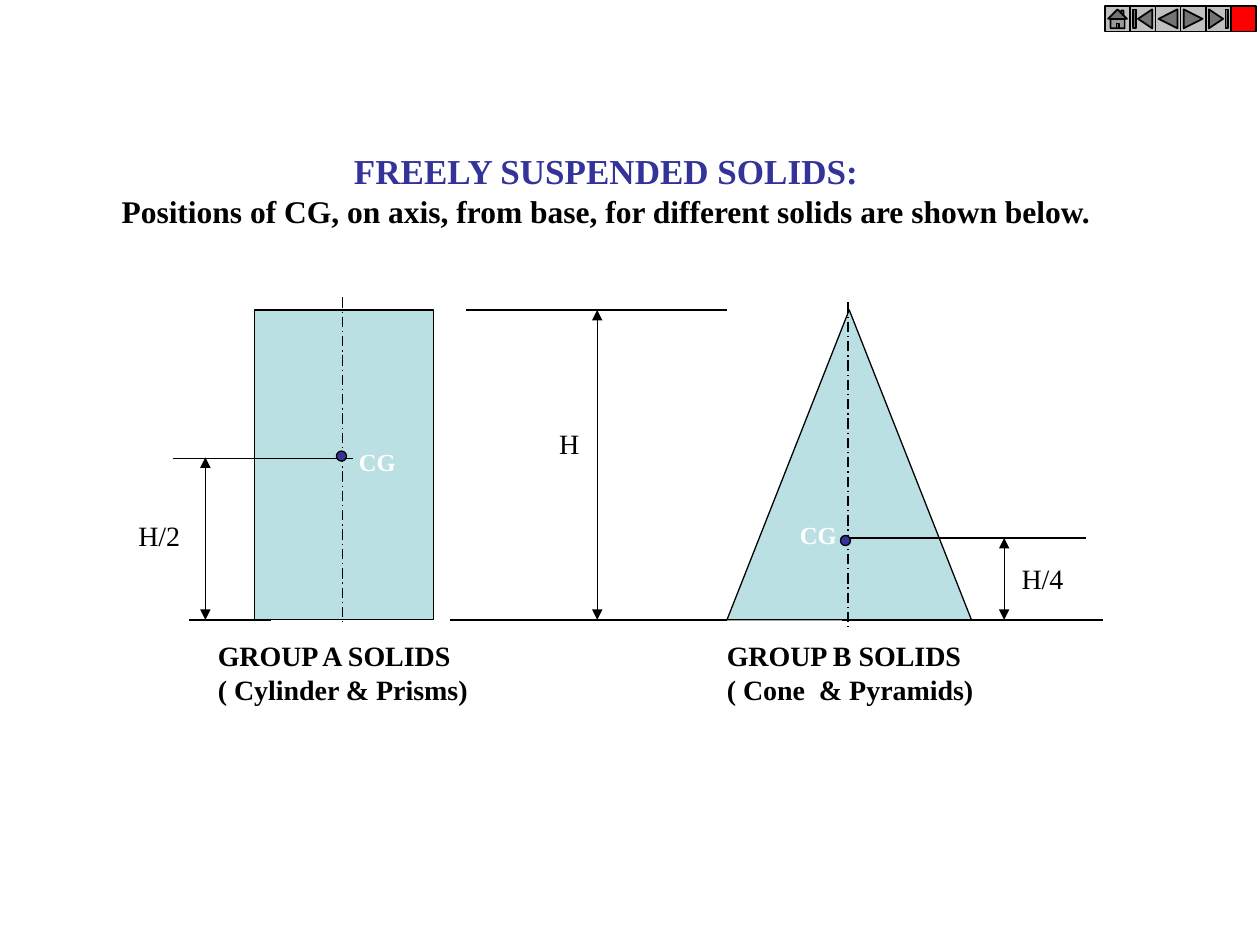
from dataclasses import dataclass

import pptx
import pptx.dml.color
import pptx.enum.dml
import pptx.enum.shapes
import pptx.enum.text
import pptx.oxml
import pptx.oxml.ns
import pptx.util

Inches = pptx.util.Inches
RGB = pptx.dml.color.RGBColor
Kind = pptx.enum.shapes.MSO_SHAPE
Align = pptx.enum.text.PP_ALIGN

BLACK = RGB(0x00, 0x00, 0x00)
WHITE = RGB(0xFF, 0xFF, 0xFF)
NAVY = RGB(0x33, 0x33, 0x99)
AQUA = RGB(0xBB, 0xE0, 0xE3)
GREY = RGB(0xC0, 0xC0, 0xC0)
RED = RGB(0xFF, 0x00, 0x00)
FONT = "Times New Roman"
TOP, BASE = 2.46, 4.92
BUTTON = 0.2


@dataclass
class Solid:
    kind: Kind
    left: float
    top: float
    width: float
    height: float
    fill: RGB
    weight: float = 0.75


@dataclass
class Line:
    x1: float
    y1: float
    x2: float
    y2: float
    dashed: bool = False
    arrows: bool = False


@dataclass
class Row:
    text: str
    size: int = 16
    bold: bool = False
    color: RGB = BLACK


@dataclass
class Label:
    left: float
    top: float
    width: float
    height: float
    rows: list[Row]


SOLIDS = [
    Solid(Kind.RECTANGLE, 2.02, TOP, 1.42, BASE - TOP, AQUA),
    Solid(Kind.ISOSCELES_TRIANGLE, 5.77, TOP, 1.94, BASE - TOP, AQUA),
]
DOTS = [Solid(Kind.OVAL, x, y, 0.08, 0.08, NAVY) for x, y in [(2.67, 3.58), (6.67, 4.25)]]
ICONS = [
    Kind.ACTION_BUTTON_HOME,
    Kind.ACTION_BUTTON_BEGINNING,
    Kind.ACTION_BUTTON_BACK_OR_PREVIOUS,
    Kind.ACTION_BUTTON_FORWARD_OR_NEXT,
    Kind.ACTION_BUTTON_END,
    Kind.ACTION_BUTTON_CUSTOM,
]
LINES = [
    Line(3.7, TOP, 5.77, TOP),
    Line(3.57, BASE, 5.77, BASE),
    Line(4.74, TOP, 4.74, BASE, arrows=True),
    Line(2.72, 2.36, 2.72, 4.95, dashed=True),
    Line(6.73, 2.4, 6.73, 4.99, dashed=True),
    Line(1.5, BASE, 2.15, BASE),
    Line(1.37, 3.64, 2.8, 3.64),
    Line(6.68, 4.27, 8.62, 4.27),
    Line(6.68, BASE, 8.75, BASE),
    Line(7.97, 4.27, 7.97, BASE, arrows=True),
    Line(1.63, 3.63, 1.63, BASE, arrows=True),
]
HEAD = [
    Row("FREELY SUSPENDED SOLIDS:", 20, True, NAVY),
    Row("Positions of CG, on axis, from base, for different solids are shown below.", 18, True),
]
LABELS = [
    Label(4.34, 3.34, 0.36, 0.37, [Row("H")]),
    Label(1, 4.07, 0.53, 0.37, [Row("H/2")]),
    Label(8.01, 4.41, 0.53, 0.37, [Row("H/4")]),
    Label(1.63, 5.02, 2.19, 0.64,
          [Row("GROUP A SOLIDS", bold=True), Row("( Cylinder & Prisms)", bold=True)]),
    Label(5.67, 5.02, 2.16, 0.64,
          [Row("GROUP B SOLIDS", bold=True), Row("( Cone  & Pyramids)", bold=True)]),
    Label(2.75, 3.5, 0.49, 0.34, [Row("CG", 14, True, WHITE)]),
    Label(6.25, 4.08, 0.49, 0.34, [Row("CG", 14, True, WHITE)]),
]


def write(frame, rows: list[Row], align: Align) -> None:
    frame.word_wrap = False
    frame.auto_size = pptx.enum.text.MSO_AUTO_SIZE.NONE
    frame.vertical_anchor = pptx.enum.text.MSO_ANCHOR.TOP
    for i, row in enumerate(rows):
        para = frame.add_paragraph() if i else frame.paragraphs[0]
        para.alignment = align
        run = para.add_run()
        run.text = row.text
        run.font.name = FONT
        run.font.size = pptx.util.Pt(row.size)
        run.font.bold = row.bold
        run.font.color.rgb = row.color


def add_title(slide) -> None:
    title = slide.shapes.title
    title.left, title.top = Inches(0.85), Inches(1.14)
    title.width, title.height = Inches(7.92), Inches(0.74)
    write(title.text_frame, HEAD, Align.CENTER)


def add_label(slide, label: Label) -> None:
    box = slide.shapes.add_textbox(Inches(label.left), Inches(label.top),
                                   Inches(label.width), Inches(label.height))
    write(box.text_frame, label.rows, Align.LEFT)


def add_solid(slide, solid: Solid) -> None:
    shape = slide.shapes.add_shape(solid.kind, Inches(solid.left), Inches(solid.top),
                                   Inches(solid.width), Inches(solid.height))
    shape.shadow.inherit = False
    shape.fill.solid()
    shape.fill.fore_color.rgb = solid.fill
    shape.line.color.rgb = BLACK
    shape.line.width = pptx.util.Pt(solid.weight)


def add_line(slide, line: Line) -> None:
    wire = slide.shapes.add_connector(
        pptx.enum.shapes.MSO_CONNECTOR.STRAIGHT,
        Inches(line.x1), Inches(line.y1), Inches(line.x2), Inches(line.y2))
    wire.line.color.rgb = BLACK
    wire.line.width = pptx.util.Pt(0.75)
    if line.dashed:
        wire.line.dash_style = pptx.enum.dml.MSO_LINE.LONG_DASH_DOT
    props = wire.element.spPr
    if line.arrows:
        stroke = props.find(pptx.oxml.ns.qn("a:ln"))
        for tag in ("headEnd", "tailEnd"):
            stroke.append(make(tag, 'type="triangle"'))
    props.append(make("effectLst"))


def make(tag: str, attrs: str = ""):
    """Return an empty element of the drawing namespace."""
    return pptx.oxml.parse_xml(f"<a:{tag} {pptx.oxml.ns.nsdecls('a')} {attrs}/>")


def main() -> None:
    deck = pptx.Presentation()
    deck.slide_width, deck.slide_height = Inches(10), Inches(7.5)
    slide = deck.slides.add_slide(deck.slide_layouts[5])
    add_title(slide)
    for solid in SOLIDS:
        add_solid(slide, solid)
    for line in LINES:
        add_line(slide, line)
    for label in LABELS:
        add_label(slide, label)
    for dot in DOTS:
        add_solid(slide, dot)
    for i, icon in enumerate(ICONS):
        fill = RED if icon == Kind.ACTION_BUTTON_CUSTOM else GREY
        add_solid(slide, Solid(icon, 8.77 + i * BUTTON, 0.05, BUTTON, BUTTON, fill, 1))
    deck.save("out.pptx")


if __name__ == "__main__":
    main()
